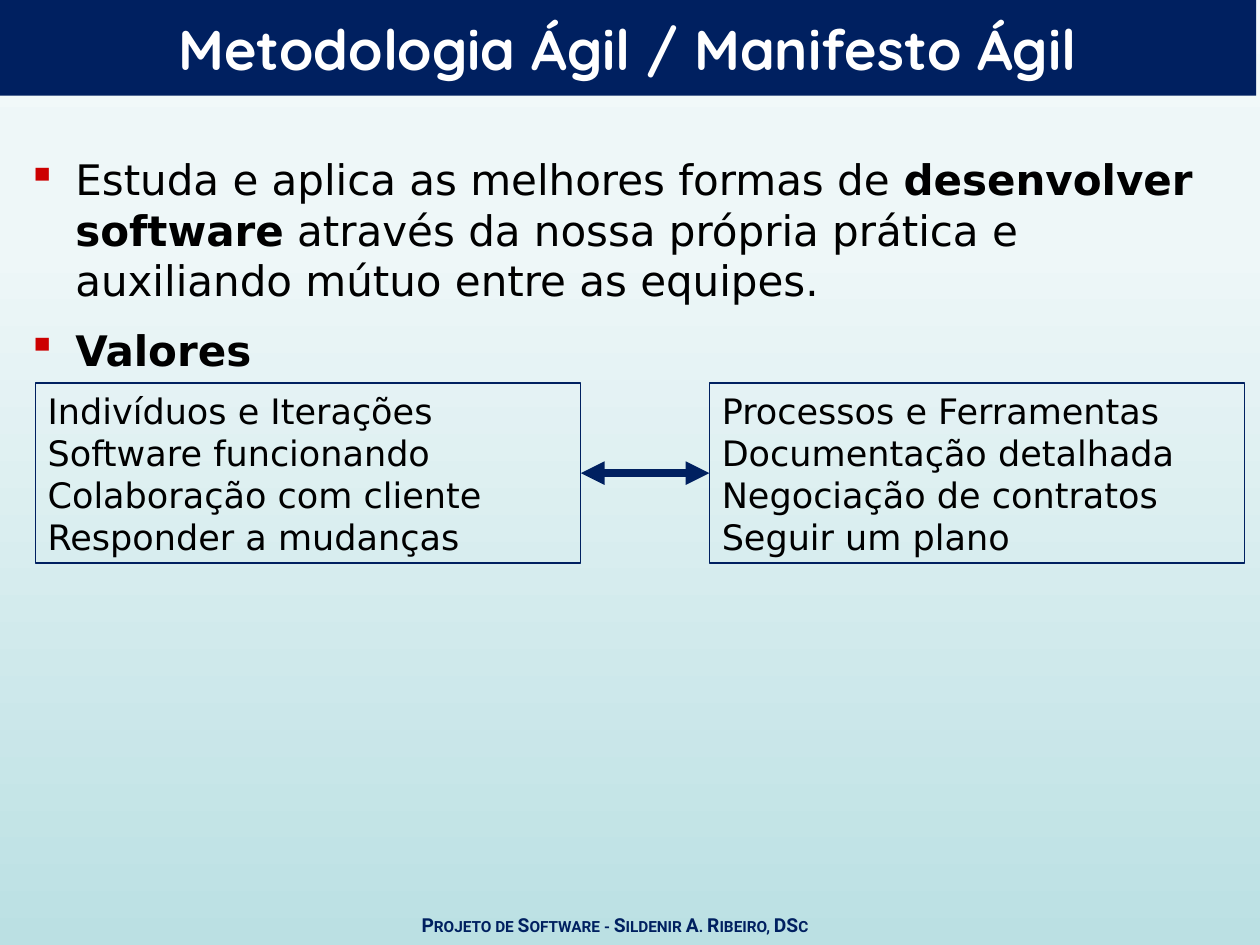
"""Build the agile manifesto slide."""
from lxml import etree
from pptx import Presentation
from pptx import util as u
from pptx.dml.color import RGBColor
from pptx.enum import shapes, text
from pptx.oxml import parse_xml
from pptx.oxml.ns import nsdecls, qn

NAVY = RGBColor(0x00, 0x20, 0x60)
BLACK = RGBColor(0x00, 0x00, 0x00)
WHITE = RGBColor(0xFF, 0xFF, 0xFF)
RED = RGBColor(0xCC, 0x00, 0x00)
SKY = [
    (0, RGBColor(0xBB, 0xE0, 0xE3)),
    (74, RGBColor(0xEE, 0xF7, 0xF8)),
    (83, RGBColor(0xEE, 0xF7, 0xF8)),
    (100, RGBColor(0xF4, 0xFA, 0xFA)),
]

TITLE = "Metodologia Ágil / Manifesto Ágil"
FOOTER = "Projeto de Software - Sildenir A. Ribeiro, DSc"
POINTS = [
    [
        ("Estuda e aplica as melhores formas de ", False),
        ("desenvolver software", True),
        (" através da nossa própria prática e auxiliando mútuo entre as equipes.", False),
    ],
    [("Valores", True)],
]
VALUES = [
    ("Indivíduos e Iterações", "Processos e Ferramentas"),
    ("Software funcionando", "Documentação detalhada"),
    ("Colaboração com cliente", "Negociação de contratos"),
    ("Responder a mudanças", "Seguir um plano"),
]

WIDTH, HEIGHT = 10, 7.5
RIGHT = 9.88
COLUMNS = [(0.28, 4.61), (5.63, RIGHT)]
VALUES_TOP, VALUES_HEIGHT = 3.04, 1.43


def inches(*lengths):
    return [u.Inches(length) for length in lengths]


def write(target, paragraphs, size, font="DejaVu Sans", color=BLACK,
          align=text.PP_ALIGN.LEFT, anchor=text.MSO_ANCHOR.TOP,
          bullet=None, small_caps=False, before=0, after=0):
    """Fill a shape with paragraphs, each a list of (wording, bold) runs."""
    frame = target.text_frame
    frame.word_wrap = True
    frame.vertical_anchor = anchor
    for index, runs in enumerate(paragraphs):
        paragraph = frame.paragraphs[0] if index == 0 else frame.add_paragraph()
        if bullet:
            add_bullet(paragraph, bullet)
        paragraph.alignment = align
        paragraph.space_before = u.Pt(before if index else 0)
        paragraph.space_after = u.Pt(after)
        for wording, bold in runs:
            run = paragraph.add_run()
            run.text = wording
            run.font.name, run.font.size, run.font.bold = font, u.Pt(size), bold
            run.font.color.rgb = color
            if small_caps:
                run._r.get_or_add_rPr().set("cap", "small")


def add_bullet(paragraph, symbol):
    properties = paragraph._p.get_or_add_pPr()
    properties.set("marL", str(u.Inches(0.38)))
    properties.set("indent", str(-u.Inches(0.38)))
    color = etree.SubElement(properties, qn("a:buClr"))
    etree.SubElement(color, qn("a:srgbClr"), val=str(RED))
    etree.SubElement(properties, qn("a:buSzPct"), val="95000")
    etree.SubElement(properties, qn("a:buChar"), char=symbol)


def paint_background(slide):
    stops = "".join(
        f'<a:gs pos="{share * 1000}"><a:srgbClr val="{color}"/></a:gs>'
        for share, color in SKY)
    slide.background.fill.solid()
    solid = slide._element.cSld.bg.bgPr.find(qn("a:solidFill"))
    solid.getparent().replace(solid, parse_xml(
        f'<a:gradFill {nsdecls("a")} rotWithShape="1"><a:gsLst>{stops}</a:gsLst>'
        '<a:lin ang="16200000" scaled="0"/></a:gradFill>'))


def add_values(slide, column, entries):
    left, right = column
    panel = slide.shapes.add_shape(
        shapes.MSO_SHAPE.RECTANGLE,
        *inches(left, VALUES_TOP, right - left, VALUES_HEIGHT))
    panel.shadow.inherit = False
    panel.fill.background()
    panel.line.color.rgb = NAVY
    panel.line.width = u.Pt(0.75)
    write(panel, [[(entry, False)] for entry in entries], 20)


def add_link(slide):
    middle = VALUES_TOP + VALUES_HEIGHT / 2
    link = slide.shapes.add_connector(
        shapes.MSO_CONNECTOR.STRAIGHT,
        *inches(COLUMNS[0][1], middle, COLUMNS[1][0], middle))
    link.line.color.rgb = NAVY
    link.line.width = u.Pt(4.5)
    line = link.line._get_or_add_ln()
    for end in ("a:headEnd", "a:tailEnd"):
        etree.SubElement(line, qn(end), type="triangle")
    etree.SubElement(link._element.spPr, qn("a:effectLst"))


def main():
    deck = Presentation()
    deck.slide_width, deck.slide_height = inches(WIDTH, HEIGHT)
    slide = deck.slides.add_slide(deck.slide_layouts.get_by_name("Title Only"))
    paint_background(slide)

    title = slide.shapes.title
    title.left, title.top, title.width, title.height = inches(0, 0, 9.97, 0.76)
    title.fill.solid()
    title.fill.fore_color.rgb = NAVY
    write(title, [[(TITLE, True)]], 32, font="Quicksand", color=WHITE,
          align=text.PP_ALIGN.CENTER, anchor=text.MSO_ANCHOR.MIDDLE)

    points = slide.shapes.add_textbox(*inches(0.12, 1.15, RIGHT - 0.12, 1.93))
    points.text_frame.margin_top = u.Inches(0.07)
    write(points, POINTS, 24, bullet="▪", before=5, after=6)

    for column, entries in zip(COLUMNS, zip(*VALUES)):
        add_values(slide, column, entries)
    add_link(slide)

    footer = slide.shapes.add_textbox(*inches(0.59, 7.2, 8.58, 0.29))
    write(footer, [[(FOOTER, True)]], 11, font="Roboto", color=NAVY,
          align=text.PP_ALIGN.CENTER, small_caps=True)

    deck.save("out.pptx")


if __name__ == "__main__":
    main()
